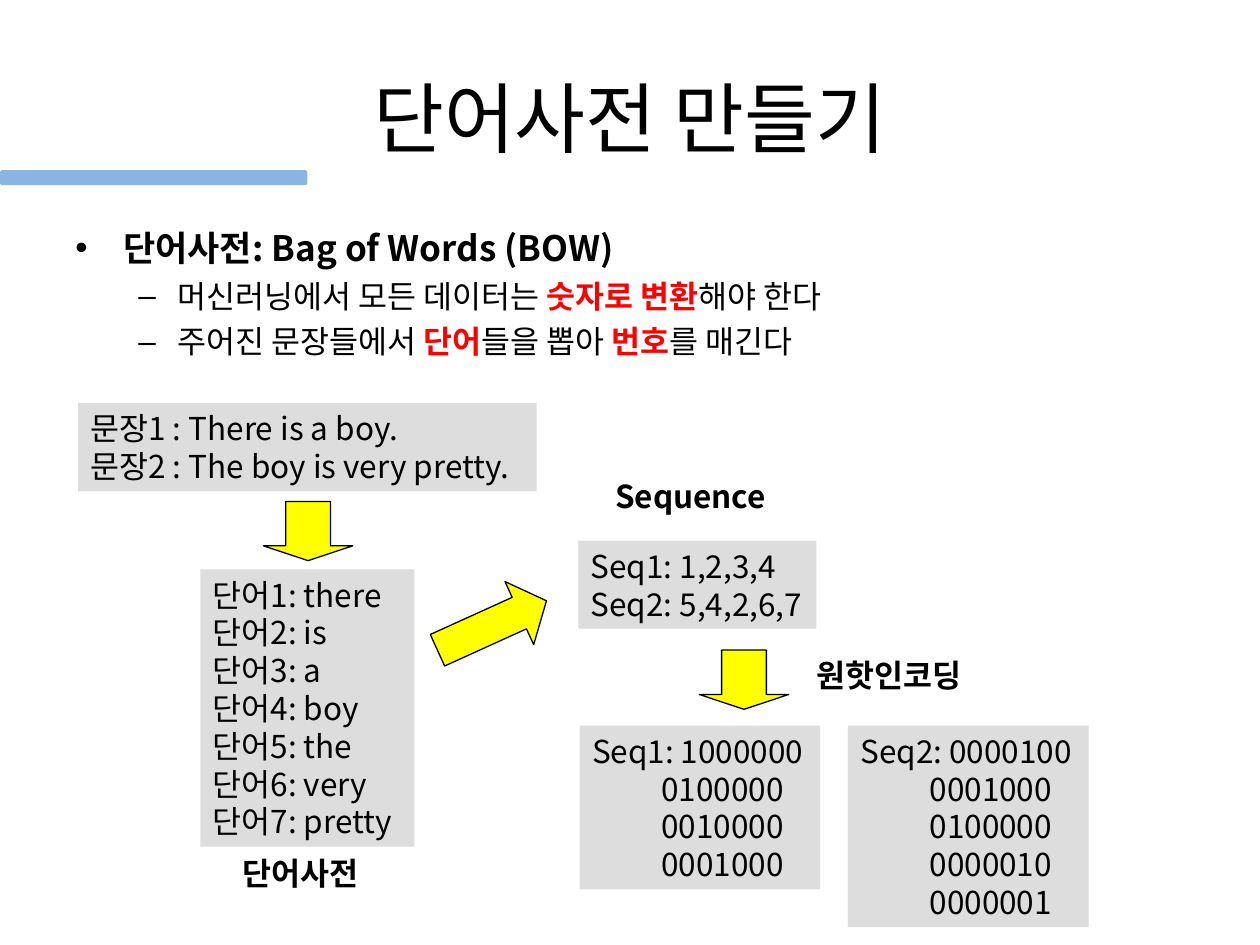
import dataclasses

import pptx
import pptx.dml.color
import pptx.enum.shapes
import pptx.enum.text
import pptx.oxml.ns
import pptx.util
from lxml import etree

Inches = pptx.util.Inches
Pt = pptx.util.Pt
SHAPE = pptx.enum.shapes.MSO_SHAPE
ALIGN = pptx.enum.text.PP_ALIGN
ANCHOR = pptx.enum.text.MSO_ANCHOR
qn = pptx.oxml.ns.qn


@dataclasses.dataclass(frozen=True)
class Theme:
    font: str = "Noto Sans CJK KR"
    text: str = "000000"
    accent: str = "FF0000"
    panel: str = "DDDDDD"
    arrow: str = "FFFF00"
    bar: str = "8CB4E3"
    title_size: int = 44
    heading_size: int = 20
    body_size: int = 18


THEME = Theme()


def rgb(value):
    return pptx.dml.color.RGBColor.from_string(value)


def write(p, text, size=THEME.body_size, bold=False, align=ALIGN.LEFT,
          before=0, indent=0):
    """Fill a paragraph; parts between asterisks are bold in the accent colour."""
    p.alignment = align
    p.space_before = Pt(before)
    if indent:
        p._p.get_or_add_pPr().set("marL", str(Inches(indent)))
    for i, part in enumerate(text.split("*")):
        marked = i % 2 == 1
        r = p.add_run()
        r.text = part
        r.font.size = Pt(size)
        r.font.bold = bold or marked
        r.font.name = THEME.font
        r.font.color.rgb = rgb(THEME.accent if marked else THEME.text)
        ea = etree.SubElement(r._r.get_or_add_rPr(), qn("a:ea"))
        ea.set("typeface", THEME.font)


def add_bullet(p, char, hang):
    pPr = p._p.get_or_add_pPr()
    pPr.set("indent", str(-Inches(hang)))
    etree.SubElement(pPr, qn("a:buFont")).set("typeface", "Arial")
    etree.SubElement(pPr, qn("a:buChar")).set("char", char)


def add_text(slide, box, text, wrap=False, anchor=ANCHOR.TOP, **style):
    s = slide.shapes.add_textbox(*map(Inches, box))
    tf = s.text_frame
    tf.word_wrap = wrap
    tf.vertical_anchor = anchor
    write(tf.paragraphs[0], text, **style)
    return tf


def add_shape(slide, kind, box, fill, outlined=False, adjustments=(), rotation=0):
    s = slide.shapes.add_shape(kind, *map(Inches, box))
    s.shadow.inherit = False
    s.rotation = rotation
    s.fill.solid()
    s.fill.fore_color.rgb = rgb(fill)
    if outlined:
        s.line.color.rgb = rgb(THEME.text)
        s.line.width = Pt(0.75)
    else:
        s.line.fill.background()
    for i, value in enumerate(adjustments):
        s.adjustments[i] = value
    return s


def add_panel(slide, box, lines, later_indent=0):
    """Grey box of lines; later_indent shifts every line after the first."""
    tf = add_shape(slide, SHAPE.RECTANGLE, box, THEME.panel).text_frame
    tf.word_wrap = False
    tf.vertical_anchor = ANCHOR.TOP
    for i, line in enumerate(lines):
        p = tf.add_paragraph() if i else tf.paragraphs[0]
        write(p, line, indent=later_indent if i else 0)


def add_arrow(slide, kind, box, head, rotation=0):
    add_shape(slide, kind, box, THEME.arrow, outlined=True,
              adjustments=(0.5, head), rotation=rotation)


def add_body(slide):
    tf = add_text(slide, (0.5, 1.75, 9, 4.95), "단어사전: Bag of Words (BOW)",
                  wrap=True, size=THEME.heading_size, bold=True, before=5,
                  indent=0.38)
    add_bullet(tf.paragraphs[0], "•", 0.38)
    for text in ("머신러닝에서 모든 데이터는 *숫자로 변환*해야 한다",
                 "주어진 문장들에서 *단어*들을 뽑아 *번호*를 매긴다"):
        p = tf.add_paragraph()
        p.level = 1
        write(p, text, before=4.5, indent=0.81)
        add_bullet(p, "–", 0.31)


def main():
    prs = pptx.Presentation()
    prs.slide_width, prs.slide_height = Inches(10), Inches(7.5)
    slide = prs.slides.add_slide(prs.slide_layouts[6])

    add_text(slide, (0.5, 0.3, 9, 1.25), "단어사전 만들기", wrap=True,
             anchor=ANCHOR.MIDDLE, size=THEME.title_size, align=ALIGN.CENTER)
    add_body(slide)

    words = ("there", "is", "a", "boy", "the", "very", "pretty")
    add_panel(slide, (0.62, 3.2, 3.64, 0.7),
              ("문장1 : There is a boy.", "문장2 : The boy is very pretty."))
    add_panel(slide, (1.59, 4.52, 1.7, 2.2),
              [f"단어{n}: {word}" for n, word in enumerate(words, 1)])

    sequences = ((1, 2, 3, 4), (5, 4, 2, 6, 7))
    add_panel(slide, (4.59, 4.29, 1.89, 0.7),
              [f"Seq{n}: {','.join(map(str, seq))}"
               for n, seq in enumerate(sequences, 1)])
    for i, seq in enumerate(sequences):
        rows = ["".join("1" if n == index else "0"
                        for n in range(1, len(words) + 1)) for index in seq]
        rows[0] = f"Seq{i + 1}: {rows[0]}"
        add_panel(slide, (4.6 + 2.13 * i, 5.76, 1.91, 0.1 + 0.3 * len(rows)),
                  rows, later_indent=0.55)

    add_arrow(slide, SHAPE.DOWN_ARROW, (2.09, 3.98, 0.71, 0.47), 0.25)
    add_arrow(slide, SHAPE.RIGHT_ARROW, (3.43, 4.69, 0.95, 0.55), 0.43,
              rotation=335.6)
    add_arrow(slide, SHAPE.DOWN_ARROW, (5.55, 5.16, 0.71, 0.47), 0.25)

    add_text(slide, (6.38, 5.16, 1.35, 0.4), "원핫인코딩", bold=True)
    add_text(slide, (1.83, 6.73, 1.12, 0.4), "단어사전", bold=True)
    add_text(slide, (4.73, 3.74, 1.5, 0.4), "Sequence", bold=True,
             align=ALIGN.CENTER)
    add_shape(slide, SHAPE.ROUNDED_RECTANGLE, (0, 1.35, 2.44, 0.12), THEME.bar,
              adjustments=(0.17,))

    prs.save("out.pptx")


if __name__ == "__main__":
    main()
